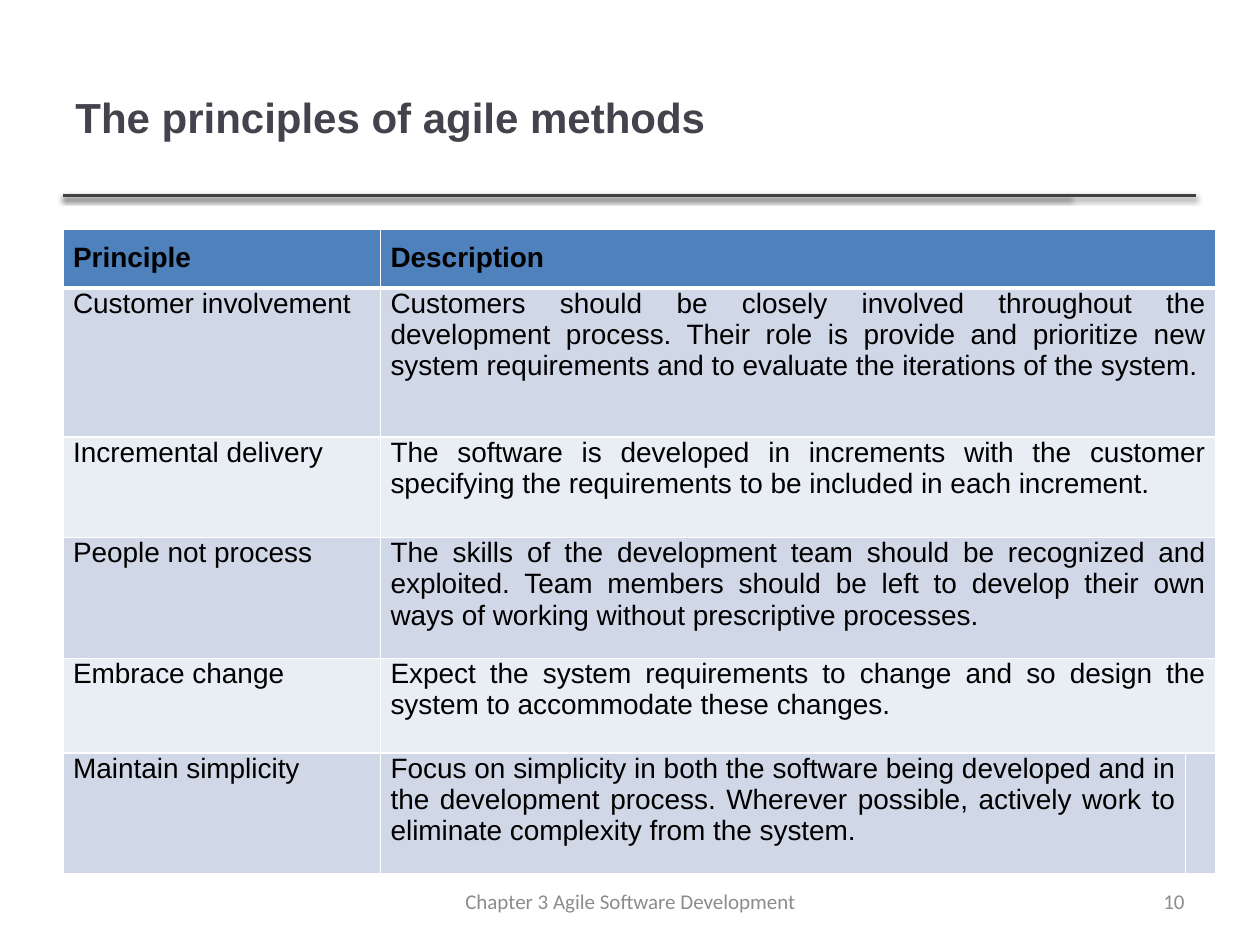
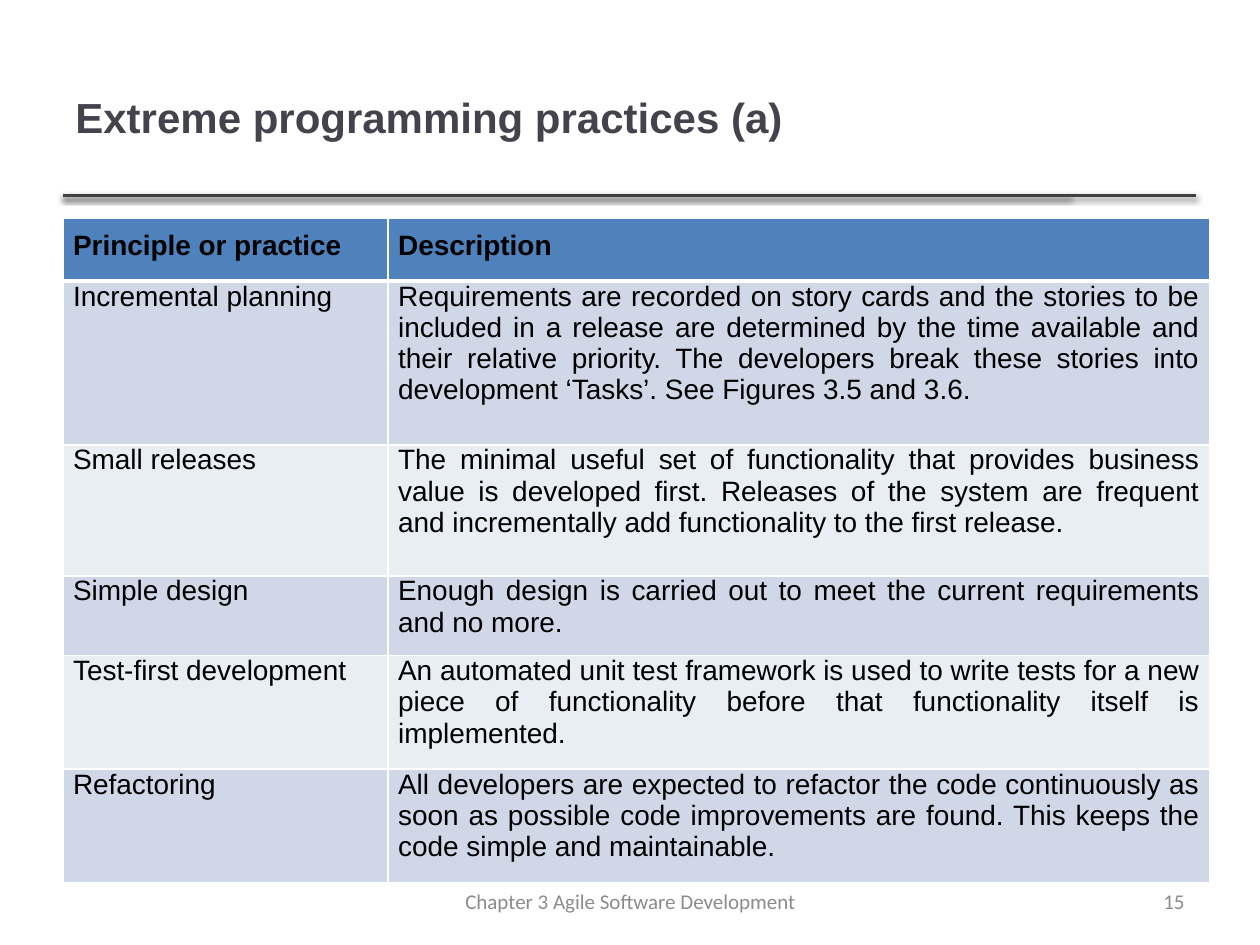
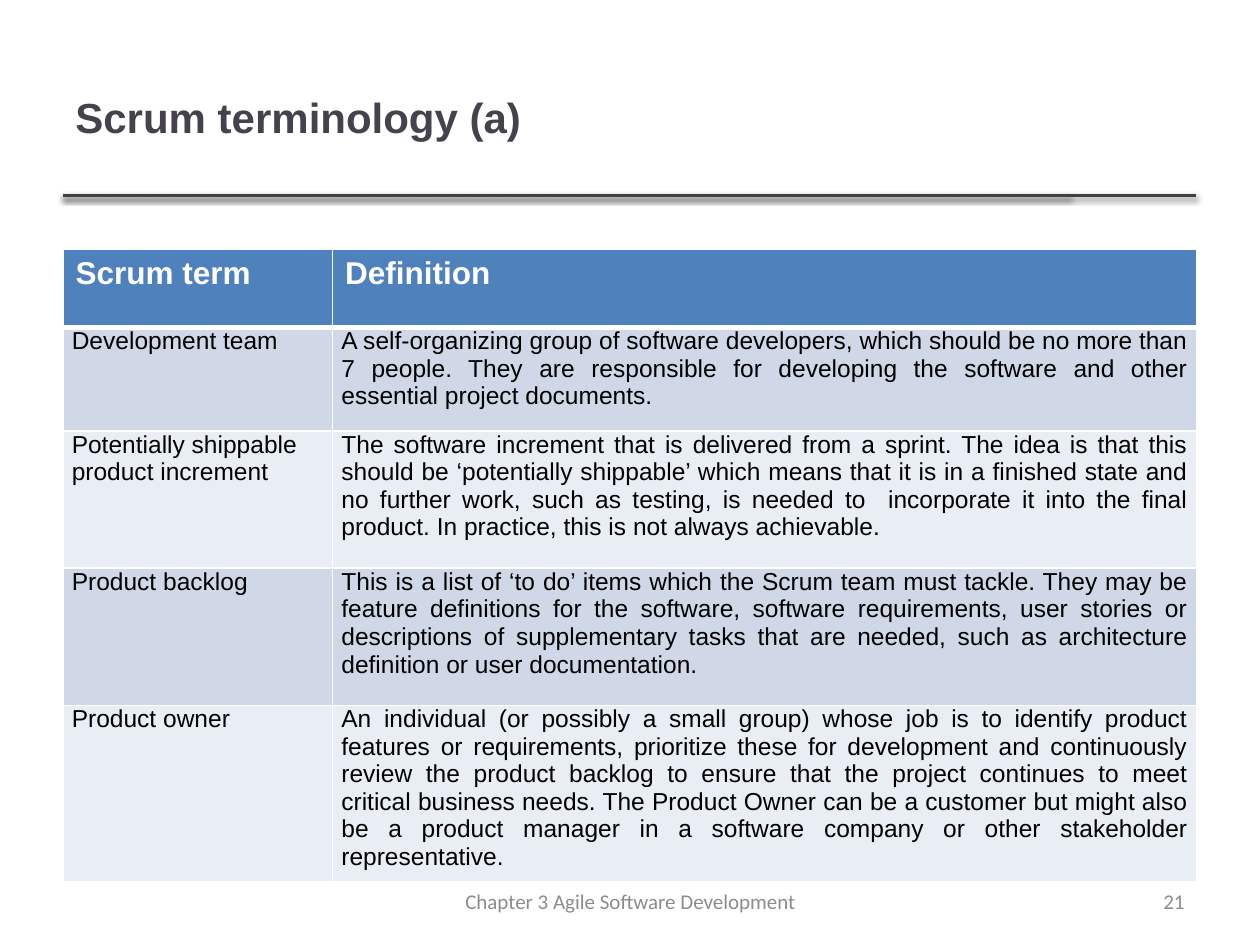
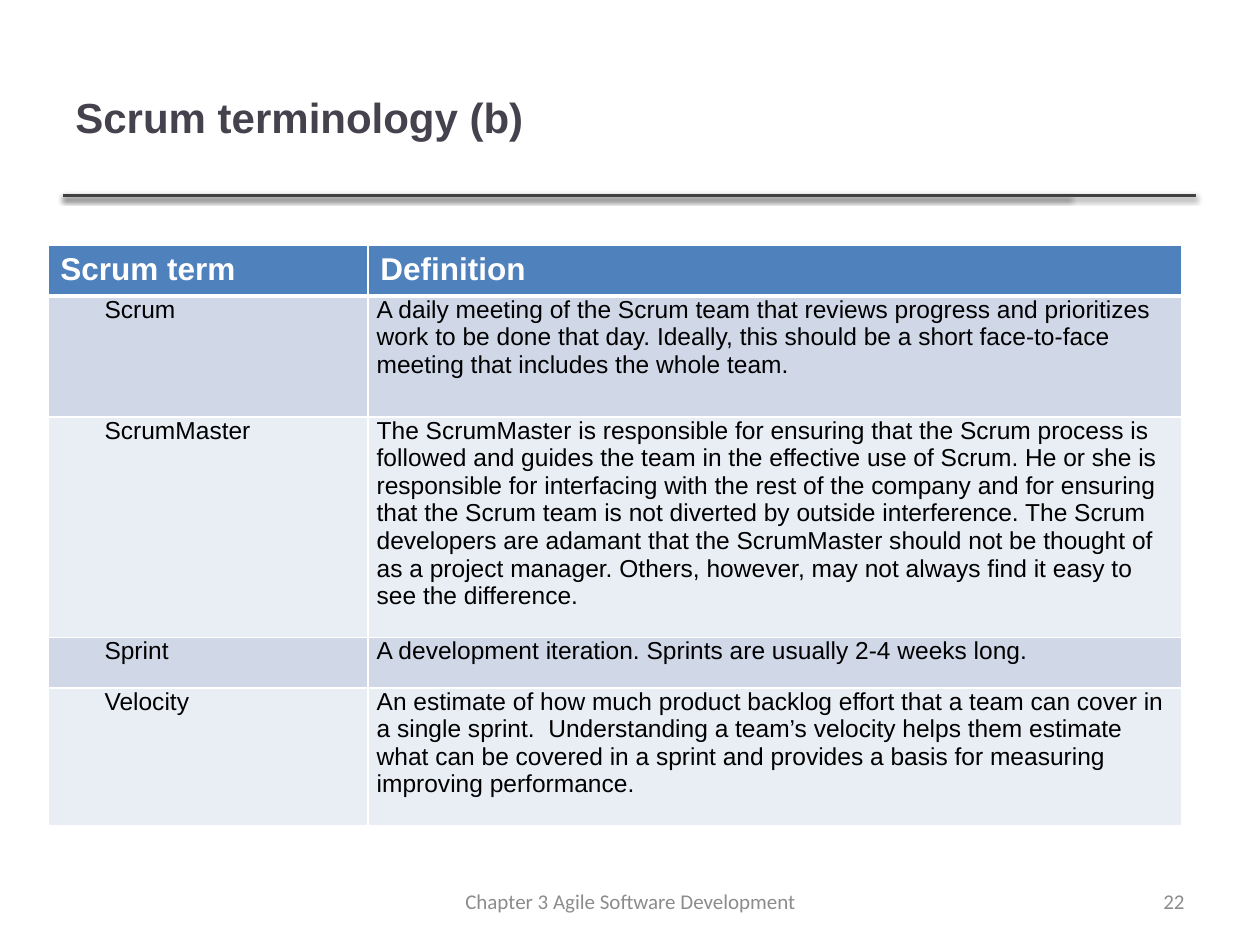
from lxml import etree
from pptx import Presentation
from pptx.dml.color import RGBColor
from pptx.enum import shapes, text
from pptx.oxml import ns, parse_xml
from pptx.util import Inches, Pt

COLORS = {
    "title": "46424D", "rule": "404040", "footer": "8C8C8C",
    "header": "4F81BD", "odd": "D0D8E8", "even": "E9EDF4",
    "black": "000000", "white": "FFFFFF",
}
LEFT, CENTER, RIGHT, JUSTIFY = (
    text.PP_ALIGN.LEFT, text.PP_ALIGN.CENTER, text.PP_ALIGN.RIGHT, text.PP_ALIGN.JUSTIFY)
SHADOW = (
    f'<a:effectLst {ns.nsdecls("a")}>'
    '<a:outerShdw blurRad="40000" dist="20000" dir="5400000" rotWithShape="0">'
    f'<a:srgbClr val="{COLORS["black"]}"><a:alpha val="38000"/></a:srgbClr>'
    '</a:outerShdw></a:effectLst>')

PRINCIPLES = {
    "size": 16, "header_size": 16, "header_color": "black", "header_align": JUSTIFY,
    "header_margins": (0.08, 0.1), "body_margins": (0.08, 0, 0.1),
    "term_align": JUSTIFY, "description_align": JUSTIFY, "term_indent": 0,
}
SCRUM = {
    "size": 14, "header_size": 18, "header_color": "white", "header_align": LEFT,
    "header_margins": (0.1, 0.05), "body_margins": (0.07, 0, 0),
    "term_align": LEFT, "description_align": JUSTIFY, "term_indent": 0,
}
SCRUM_INDENTED = {**SCRUM, "description_align": LEFT, "term_indent": 0.38}

pages = [
    {
        "title": "The principles of agile methods", "number": "10", "look": PRINCIPLES,
        "at": (0.5, 1.82), "columns": [2.52, 6.39, 0.14],
        "heights": [0.43, 1.18, 0.8, 0.96, 0.75, 0.96],
        "rows": [
            ("Principle", "Description"),
            ("Customer involvement",
             "Customers should be closely involved throughout the development process. Their role is "
             "provide and prioritize new system requirements and to evaluate the iterations of the system."),
            ("Incremental delivery",
             "The software is developed in increments with the customer specifying the requirements "
             "to be included in each increment."),
            ("People not process",
             "The skills of the development team should be recognized and exploited. Team members "
             "should be left to develop their own ways of working without prescriptive processes."),
            ("Embrace change",
             "Expect the system requirements to change and so design the system to accommodate these changes."),
            ("Maintain simplicity",
             "Focus on simplicity in both the software being developed and in the development process. "
             "Wherever possible, actively work to eliminate complexity from the system."),
        ],
    },
    {
        "title": "Extreme programming practices (a)", "number": "15", "look": PRINCIPLES,
        "at": (0.5, 1.73), "columns": [2.58, 6.52],
        "heights": [0.5, 1.3, 1.04, 0.6, 0.84, 0.83],
        "rows": [
            ("Principle or practice", "Description"),
            ("Incremental planning",
             "Requirements are recorded on story cards and the stories to be included in a release are "
             "determined by the time available and their relative priority. The developers break these "
             "stories into development ‘Tasks’. See Figures 3.5 and 3.6."),
            ("Small releases",
             "The minimal useful set of functionality that provides business value is developed first. "
             "Releases of the system are frequent and incrementally add functionality to the first release."),
            ("Simple design",
             "Enough design is carried out to meet the current requirements and no more."),
            ("Test-first development",
             "An automated unit test framework is used to write tests for a new piece of functionality "
             "before that functionality itself is implemented."),
            ("Refactoring",
             "All developers are expected to refactor the code continuously as soon as possible code "
             "improvements are found. This keeps the code simple and maintainable."),
        ],
    },
    {
        "title": "Scrum terminology (a)", "number": "21", "look": SCRUM,
        "at": (0.5, 1.98), "columns": [2.14, 6.86],
        "heights": [0.62, 0.82, 1.09, 1.09, 1.31],
        "rows": [
            ("Scrum term", "Definition"),
            ("Development team",
             "A self-organizing group of software developers, which should be no more than 7 people. "
             "They are responsible for developing the software and other essential project documents."),
            ("Potentially shippable product increment",
             "The software increment that is delivered from a sprint. The idea is that this should be "
             "‘potentially shippable’ which means that it is in a finished state and no further work, "
             "such as testing, is needed to  incorporate it into the final product. In practice, this "
             "is not always achievable."),
            ("Product backlog",
             "This is a list of ‘to do’ items which the Scrum team must tackle. They may be feature "
             "definitions for the software, software requirements, user stories or descriptions of "
             "supplementary tasks that are needed, such as architecture definition or user documentation."),
            ("Product owner",
             "An individual (or possibly a small group) whose job is to identify product features or "
             "requirements, prioritize these for development and continuously review the product backlog "
             "to ensure that the project continues to meet critical business needs. The Product Owner can "
             "be a customer but might also be a product manager in a software company or other "
             "stakeholder representative."),
        ],
    },
    {
        "title": "Scrum terminology (b)", "number": "22", "look": SCRUM_INDENTED,
        "at": (0.38, 1.95), "columns": [2.54, 6.46],
        "heights": [0.4, 0.96, 1.75, 0.4, 1.09],
        "rows": [
            ("Scrum term", "Definition"),
            ("Scrum",
             "A daily meeting of the Scrum team that reviews progress and prioritizes work to be done "
             "that day. Ideally, this should be a short face-to-face meeting that includes the whole team."),
            ("ScrumMaster",
             "The ScrumMaster is responsible for ensuring that the Scrum process is followed and guides "
             "the team in the effective use of Scrum. He or she is responsible for interfacing with the "
             "rest of the company and for ensuring that the Scrum team is not diverted by outside "
             "interference. The Scrum developers are adamant that the ScrumMaster should not be thought "
             "of as a project manager. Others, however, may not always find it easy to see the difference."),
            ("Sprint", "A development iteration. Sprints are usually 2-4 weeks long."),
            ("Velocity",
             "An estimate of how much product backlog effort that a team can cover in a single sprint.  "
             "Understanding a team’s velocity helps them estimate what can be covered in a sprint and "
             "provides a basis for measuring improving performance."),
        ],
    },
]


def write(frame, words, size, color, align, bold=False, font="Arial"):
    frame.word_wrap = True
    paragraph = frame.paragraphs[0]
    paragraph.alignment = align
    run = paragraph.add_run()
    run.text = words
    run.font.name = font
    run.font.size = Pt(size)
    run.font.bold = bold
    run.font.color.rgb = RGBColor.from_string(COLORS[color])
    return paragraph


def style_cell(cell, fill, top, bottom):
    properties = cell._tc.get_or_add_tcPr()
    for side, width in (("L", 1), ("R", 1), ("T", top), ("B", bottom)):
        border = etree.SubElement(properties, ns.qn(f"a:ln{side}"), w=str(Pt(width)))
        solid = etree.SubElement(border, ns.qn("a:solidFill"))
        etree.SubElement(solid, ns.qn("a:srgbClr"), val=COLORS["white"])
    cell.fill.solid()
    cell.fill.fore_color.rgb = RGBColor.from_string(COLORS[fill])


deck = Presentation()
deck.slide_width, deck.slide_height = Inches(10), Inches(7.5)

for page in pages:
    slide = deck.slides.add_slide(deck.slide_layouts[6])
    look = page["look"]

    for rule_end in (8.49, 9.49):
        rule = slide.shapes.add_connector(
            shapes.MSO_CONNECTOR.STRAIGHT, Inches(0.5), Inches(1.55), Inches(rule_end), Inches(1.55))
        rule.line.color.rgb = RGBColor.from_string(COLORS["rule"])
        rule.line.width = Pt(2)
        rule._element.spPr.append(parse_xml(SHADOW))

    for words, place, size, color, align, bold, font in (
        (page["title"], (0.5, 0.3, 7.98, 1.25), 24, "title", LEFT, True, "Arial"),
        ("Chapter 3 Agile Software Development", (3.42, 6.95, 3.17, 0.4),
         12, "footer", CENTER, False, "Calibri"),
        (page["number"], (7.17, 6.95, 2.33, 0.4), 12, "footer", RIGHT, False, "Calibri"),
    ):
        label = slide.shapes.add_textbox(*map(Inches, place)).text_frame
        label.vertical_anchor = text.MSO_ANCHOR.MIDDLE
        write(label, words, size, color, align, bold, font)

    columns, heights = page["columns"], page["heights"]
    left, top = page["at"]
    glossary = slide.shapes.add_table(
        len(heights), len(columns), Inches(left), Inches(top),
        Inches(sum(columns)), Inches(sum(heights))).table
    glossary.horz_banding = False
    for column, width in zip(glossary.columns, columns):
        column.width = Inches(width)

    for index, (height, entry) in enumerate(zip(heights, page["rows"])):
        glossary.rows[index].height = Inches(height)
        is_header = index == 0
        fill = "header" if is_header else "odd" if index % 2 else "even"
        for cell in glossary.rows[index].cells:
            style_cell(cell, fill, 3 if index == 1 else 1, 3 if is_header else 1)
        if len(columns) == 3 and index < len(heights) - 1:
            glossary.cell(index, 1).merge(glossary.cell(index, 2))

        for position, words in enumerate(entry):
            cell = glossary.cell(index, position)
            if is_header:
                side, edge = look["header_margins"]
                above = below = edge
                write(cell.text_frame, words, look["header_size"], look["header_color"],
                      look["header_align"], True)
            else:
                side, above, below = look["body_margins"]
                align = look["description_align"] if position else look["term_align"]
                paragraph = write(cell.text_frame, words, look["size"], "black", align)
                if position == 0 and look["term_indent"]:
                    paragraph._p.get_or_add_pPr().set("indent", str(Inches(look["term_indent"])))
            cell.margin_left = cell.margin_right = Inches(side)
            cell.margin_top, cell.margin_bottom = Inches(above), Inches(below)

deck.save("out.pptx")
